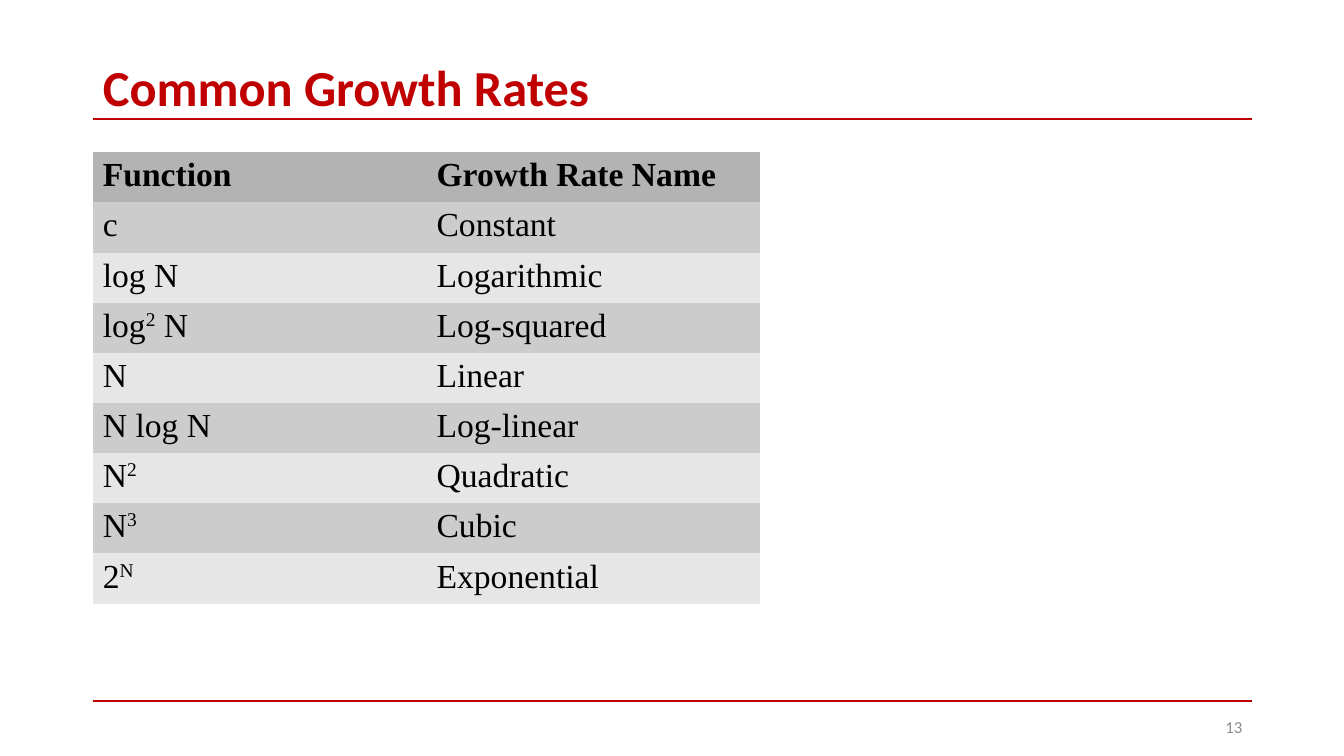
from dataclasses import dataclass

from lxml.etree import SubElement
from pptx import Presentation
from pptx.dml.color import RGBColor as RGB
from pptx.enum.shapes import MSO_CONNECTOR as Connector
from pptx.enum.text import MSO_ANCHOR as Anchor, MSO_AUTO_SIZE as AutoSize, PP_ALIGN as Align
from pptx.oxml.ns import qn
from pptx.util import Inches, Pt


@dataclass(frozen=True)
class Theme:
    """Colours, fonts and type sizes of the slide."""
    red: str = "C00000"
    black: str = "000000"
    grey: str = "8C8C8C"
    white: str = "FFFFFF"
    header_fill: str = "B3B3B3"
    band_fills: tuple = ("CCCCCC", "E6E6E6")
    heading_font: str = "Calibri"
    table_font: str = "Times New Roman"
    title_size: int = 36
    table_size: int = 24
    number_size: int = 12


THEME = Theme()
LEFT, WIDTH = 0.92, 11.5
GROWTH_RATES = [
    ("Function", "Growth Rate Name"),
    ("c", "Constant"),
    ("log N", "Logarithmic"),
    ("log^2^ N", "Log-squared"),
    ("N", "Linear"),
    ("N log N", "Log-linear"),
    ("N^2^", "Quadratic"),
    ("N^3^", "Cubic"),
    ("2^N^", "Exponential"),
]


def write(frame, text, *, font, size, color, bold=False, align=Align.LEFT, spacing=None):
    """Fill a text frame, raising the parts of the text enclosed in carets."""
    paragraph = frame.paragraphs[0]
    paragraph.alignment = align
    paragraph.line_spacing = spacing
    for index, part in enumerate(text.split("^")):
        if not part:
            continue
        run = paragraph.add_run()
        run.text = part
        run.font.name = font
        run.font.size = Pt(size)
        run.font.bold = bold
        run.font.color.rgb = RGB.from_string(color)
        if index % 2:
            run.font._element.set("baseline", "33000")


def add_rule(slide, left, top, width):
    """Draw a horizontal red rule."""
    rule = slide.shapes.add_connector(
        Connector.STRAIGHT, Inches(left), Inches(top), Inches(left + width), Inches(top))
    rule.line.color.rgb = RGB.from_string(THEME.red)
    rule.line.width = Pt(1.5)
    SubElement(rule._element.spPr, qn("a:effectLst"))


def add_title(slide, text, left, top, width, height):
    """Place the title and the rule beneath it."""
    add_rule(slide, left, top + height - 0.01, width)
    title = slide.shapes.title
    title.left, title.top = Inches(left), Inches(top)
    title.width, title.height = Inches(width), Inches(height)
    frame = title.text_frame
    frame.word_wrap = True
    frame.auto_size = AutoSize.NONE
    frame.vertical_anchor = Anchor.MIDDLE
    write(frame, text, font=THEME.heading_font, size=THEME.title_size,
          color=THEME.red, bold=True, spacing=0.9)


def add_footer(slide, number, left, top, width):
    """Place the bottom rule and the slide number under its right end."""
    add_rule(slide, left, top, width)
    number_width = 3
    box = slide.shapes.add_textbox(
        Inches(left + width - number_width), Inches(top + 0.06), Inches(number_width), Inches(0.4))
    frame = box.text_frame
    frame.word_wrap = True
    frame.vertical_anchor = Anchor.MIDDLE
    write(frame, number, font=THEME.heading_font, size=THEME.number_size,
          color=THEME.grey, align=Align.RIGHT)


def set_borders(cell):
    """Give a cell hairline white borders."""
    properties = cell._tc.get_or_add_tcPr()
    for side in ("lnL", "lnR", "lnT", "lnB"):
        border = SubElement(properties, qn(f"a:{side}"), w="381")
        fill = SubElement(border, qn("a:solidFill"))
        SubElement(fill, qn("a:srgbClr"), val=THEME.white)


def add_growth_table(slide, rates, left, top, width, height):
    """Place the table of functions and growth rate names."""
    table = slide.shapes.add_table(
        len(rates), len(rates[0]), Inches(left), Inches(top), Inches(width), Inches(height)).table
    for row_index, rate in enumerate(rates):
        is_header = row_index == 0
        fill = THEME.header_fill if is_header else THEME.band_fills[(row_index - 1) % 2]
        for column_index, text in enumerate(rate):
            cell = table.cell(row_index, column_index)
            cell.margin_left = cell.margin_right = Inches(0.1)
            cell.margin_top, cell.margin_bottom = Inches(0.07), Inches(0.05)
            set_borders(cell)
            cell.fill.solid()
            cell.fill.fore_color.rgb = RGB.from_string(fill)
            write(cell.text_frame, text, font=THEME.table_font, size=THEME.table_size,
                  color=THEME.black, bold=is_header, spacing=0.93)


def main():
    """Build and save the slide."""
    deck = Presentation()
    deck.slide_width, deck.slide_height = Inches(13.33), Inches(7.5)
    slide = deck.slides.add_slide(deck.slide_layouts[5])
    add_title(slide, "Common Growth Rates", LEFT, 0.61, WIDTH, 0.58)
    add_growth_table(slide, GROWTH_RATES, LEFT, 1.51, 6.62, 4.48)
    add_footer(slide, "13", LEFT, 6.95, WIDTH)
    deck.save("out.pptx")


if __name__ == "__main__":
    main()
